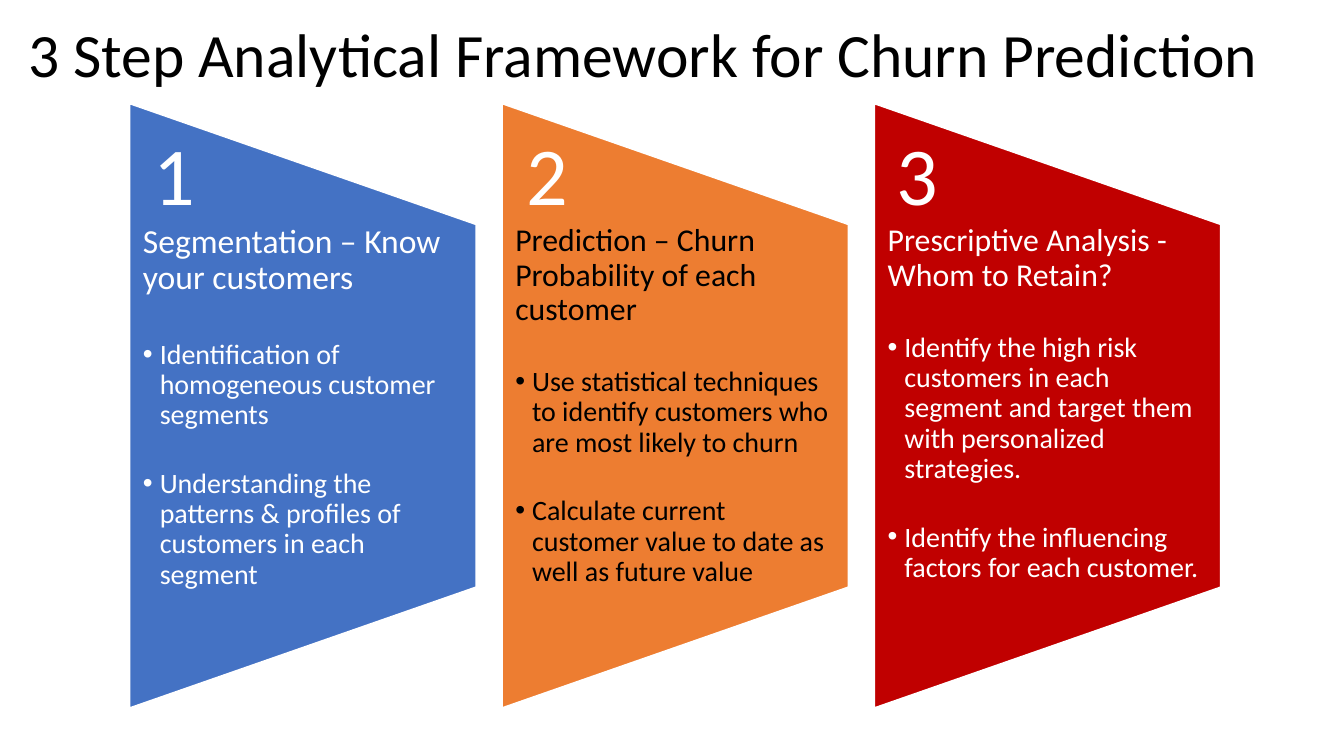
import collections

import pptx
import pptx.dml.color
import pptx.enum.shapes
import pptx.enum.text
import pptx.oxml.ns
import pptx.util

Pt = pptx.util.Pt
Anchor = pptx.enum.text.MSO_ANCHOR
AutoSize = pptx.enum.text.MSO_AUTO_SIZE

FONT = "Calibri"
WHITE, BLACK = "FFFFFF", "000000"

# Panel grid, in points
PANEL_LEFT, PANEL_PITCH = 69.4, 199.45
PANEL_TOP, PANEL_WIDTH, PANEL_HEIGHT = 55.4, 185.75, 324
TEXT_TOP, TEXT_HEIGHT = 120.2, 194.4
BULLET_SIZE, BULLET_GAP, BULLET_INDENT = 15, 20.5, 9

Step = collections.namedtuple(
    "Step", "fill ink number_left heading heading_size heading_gap bullets")
STEPS = [
    Step("4472C4", WHITE, 75, "Segmentation – Know your customers", 18, 23.1,
         ["Identification of homogeneous customer segments",
          "Understanding the patterns & profiles of customers in each segment"]),
    Step("ED7D31", BLACK, 275, "Prediction – Churn Probability of each customer", 17, 21.6,
         ["Use statistical techniques to identify customers who are most likely to churn",
          "Calculate current customer value to date as well as future value"]),
    Step("C00000", WHITE, 473, "Prescriptive Analysis - Whom to Retain?", 17, 21.6,
         ["Identify the high risk customers in each segment and target them "
          "with personalized strategies.",
          "Identify the influencing factors for each customer."]),
]


def rgb(code):
    return pptx.dml.color.RGBColor.from_string(code)


def place(box, left, top, width, height):
    box.left, box.top, box.width, box.height = map(Pt, (left, top, width, height))


def prepare_frame(frame, anchor, inset_y=3.6, auto_size=AutoSize.NONE):
    frame.word_wrap = True
    frame.auto_size = auto_size
    frame.vertical_anchor = anchor
    frame.margin_left = frame.margin_right = Pt(7.2)
    frame.margin_top = frame.margin_bottom = Pt(inset_y)


def write(paragraph, text, size, color, spacing=0.9, after=0, bullet=False):
    paragraph.alignment = pptx.enum.text.PP_ALIGN.LEFT
    paragraph.line_spacing = spacing
    paragraph.space_before = Pt(0)
    paragraph.space_after = Pt(after)
    run = paragraph.add_run()
    run.text = text
    run.font.name = FONT
    run.font.size = Pt(size)
    run.font.bold = False
    run.font.color.rgb = rgb(color)
    # Hanging bullet, or none
    indent = Pt(BULLET_INDENT) if bullet else 0
    properties = paragraph._p.get_or_add_pPr()
    properties.set("marL", str(indent))
    properties.set("indent", str(-indent))
    mark = properties.makeelement(
        pptx.oxml.ns.qn("a:buChar" if bullet else "a:buNone"), {})
    if bullet:
        mark.set("char", "•")
    properties.append(mark)


def add_panel(slide, left, fill):
    # The shape is laid out lying down, then turned upright about its centre
    turn = (PANEL_HEIGHT - PANEL_WIDTH) / 2
    panel = slide.shapes.add_shape(
        pptx.enum.shapes.MSO_SHAPE.FLOWCHART_MANUAL_OPERATION,
        Pt(left - turn), Pt(PANEL_TOP + turn), Pt(PANEL_HEIGHT), Pt(PANEL_WIDTH))
    panel.rotation = 270
    panel.shadow.inherit = False
    panel.fill.solid()
    panel.fill.fore_color.rgb = rgb(fill)
    panel.line.color.rgb = rgb(WHITE)
    panel.line.width = Pt(1)
    # Behind the placeholders
    slide.shapes._spTree.insert(2, panel._element)


def fill_step_text(body, left, step):
    place(body, left, TEXT_TOP, PANEL_WIDTH, TEXT_HEIGHT)
    frame = body.text_frame
    prepare_frame(frame, Anchor.TOP, inset_y=0)
    write(frame.paragraphs[0], step.heading, step.heading_size, step.ink,
          after=step.heading_gap)
    for bullet in step.bullets:
        paragraph = frame.add_paragraph()
        paragraph.level = 1
        write(paragraph, bullet, BULLET_SIZE, step.ink, after=BULLET_GAP, bullet=True)


def add_number(slide, left, number):
    box = slide.shapes.add_textbox(Pt(left), Pt(62.6), Pt(57.6), Pt(60.5))
    prepare_frame(box.text_frame, Anchor.TOP, auto_size=AutoSize.SHAPE_TO_FIT_TEXT)
    write(box.text_frame.paragraphs[0], str(number), 44, WHITE, spacing=1.0)


def main():
    deck = pptx.Presentation()
    deck.slide_width, deck.slide_height = Pt(720), Pt(405)
    # The comparison layout has a title and four text areas
    slide = deck.slides.add_slide(deck.slide_layouts[4])
    title, *bodies = slide.placeholders

    # Title
    place(title, 7.9, 7.9, 705, 46)
    prepare_frame(title.text_frame, Anchor.MIDDLE)
    write(title.text_frame.paragraphs[0],
          "3 Step Analytical Framework for Churn Prediction", 33, BLACK)

    # Three steps
    for index, (body, step) in enumerate(zip(bodies, STEPS)):
        left = PANEL_LEFT + index * PANEL_PITCH
        add_panel(slide, left, step.fill)
        fill_step_text(body, left, step)
        add_number(slide, step.number_left, index + 1)

    # Unused text area
    for spare in bodies[len(STEPS):]:
        slide.shapes._spTree.remove(spare._element)

    deck.save("out.pptx")


if __name__ == "__main__":
    main()
